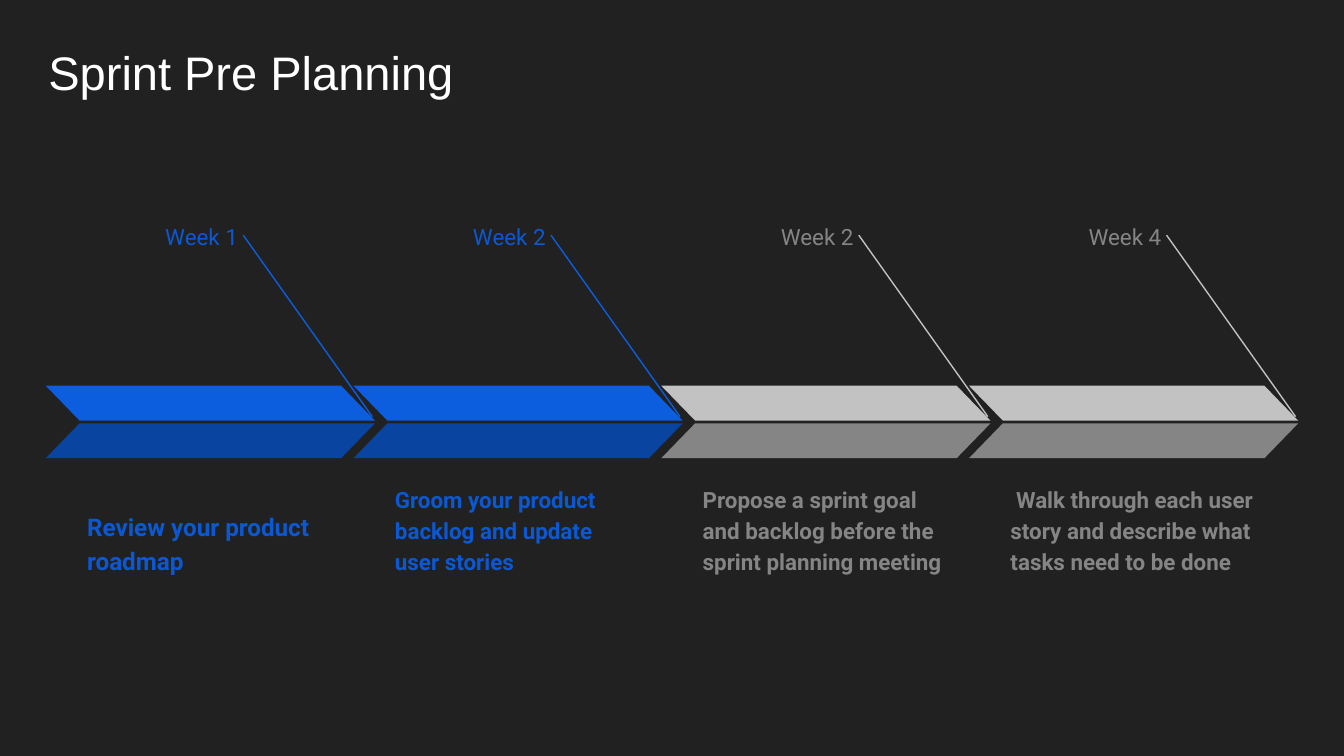
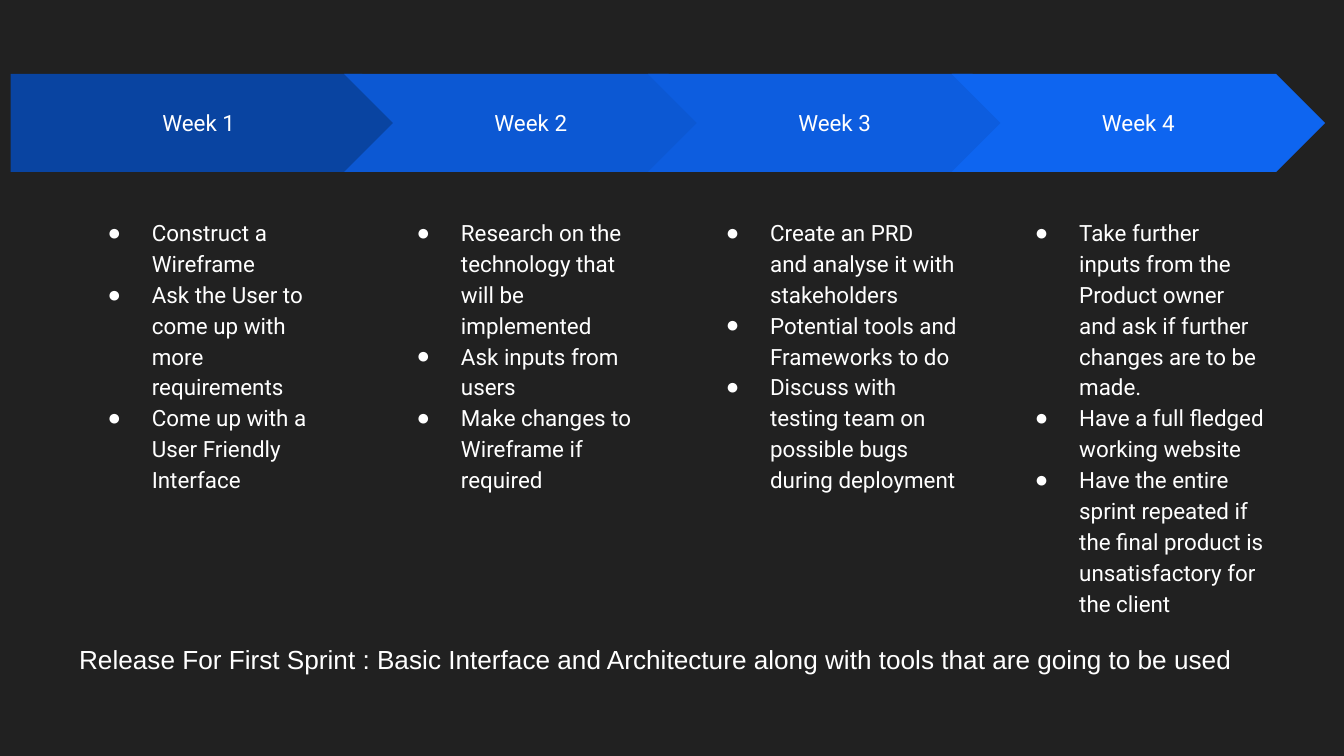
"""Build two dark slides showing a sprint's planning steps and weekly tasks."""
from lxml.etree import SubElement
from pptx import Presentation
from pptx.dml.color import RGBColor
from pptx.enum.shapes import MSO_CONNECTOR, MSO_SHAPE
from pptx.enum.text import MSO_ANCHOR, MSO_AUTO_SIZE, PP_ALIGN
from pptx.oxml.ns import qn
from pptx.util import Inches, Pt

BACKGROUND, WHITE = "212121", "FFFFFF"
NAVY, COBALT, BLUE, BRIGHT = "0944A1", "0C58D3", "0D5DDF", "0E65F0"
SILVER, GREY = "C2C2C2", "858585"
ACTIVE = (COBALT, BLUE, NAVY)
UPCOMING = (GREY, SILVER, GREY)

STEPS = [
    ("Week 1", "Review your product roadmap", 13, ACTIVE),
    ("Week 2", "Groom your product backlog and update user stories", 12, ACTIVE),
    ("Week 2", "Propose a sprint goal and backlog before the sprint planning meeting",
     12, UPCOMING),
    ("Week 4", " Walk through each user story and describe what tasks need to be done",
     12, UPCOMING),
]

WEEKS = [
    ("Week 1", NAVY, ["Construct a Wireframe",
                      "Ask the User to come up with more requirements",
                      "Come up with a User Friendly Interface"]),
    ("Week 2", COBALT, ["Research on the technology that will be implemented",
                        "Ask inputs from users",
                        "Make changes to Wireframe if required"]),
    ("Week 3", BLUE, ["Create an PRD",
                      "and analyse it with stakeholders",
                      "Potential tools and Frameworks to do",
                      "Discuss with testing team on possible bugs during deployment"]),
    ("Week 4", BRIGHT, ["Take further inputs from the Product owner and ask if further "
                        "changes are to be made.",
                        "Have a full fledged working website",
                        "Have the entire sprint repeated if the final product is "
                        "unsatisfactory for the client"]),
]


def rgb(code):
    """Turn a hex string into a colour."""
    return RGBColor.from_string(code)


def place(part, left, top, width, height):
    """Move and size a part, in inches."""
    part.left, part.top = Inches(left), Inches(top)
    part.width, part.height = Inches(width), Inches(height)


def write(part, text, size, color, font="Roboto", bold=False,
          align=PP_ALIGN.LEFT, anchor=MSO_ANCHOR.TOP, spacing=None, after=0):
    """Fill a part with text, one paragraph per line, and format it."""
    frame = part.text_frame
    frame.text = text
    frame.word_wrap = True
    frame.auto_size = MSO_AUTO_SIZE.NONE
    frame.vertical_anchor = anchor
    frame.margin_left = frame.margin_right = Inches(0.1)
    frame.margin_top = frame.margin_bottom = Inches(0.1)
    for paragraph in frame.paragraphs:
        paragraph.alignment = align
        paragraph.line_spacing = spacing
        paragraph.space_before, paragraph.space_after = Pt(0), Pt(after)
        for run in paragraph.runs:
            run.font.name, run.font.size = font, Pt(size)
            run.font.bold = bold
            run.font.color.rgb = rgb(color)


def add_label(shapes, box, text, size, color, **style):
    """Add a text box."""
    label = shapes.add_textbox(*map(Inches, box))
    write(label, text, size, color, **style)


def add_band(shapes, kind, box, color, adjustment):
    """Add a filled shape without outline or shadow."""
    band = shapes.add_shape(kind, *map(Inches, box))
    band.adjustments[0] = adjustment
    band.fill.solid()
    band.fill.fore_color.rgb = rgb(color)
    band.line.fill.background()
    band.shadow.inherit = False
    return band


def add_leader(shapes, start, end, color):
    """Add a thin straight line between two points."""
    leader = shapes.add_connector(MSO_CONNECTOR.STRAIGHT, *map(Inches, start + end))
    leader.line.color.rgb = rgb(color)
    leader.line.width = Pt(0.75)
    SubElement(leader.element.spPr, qn("a:effectLst"))


def add_step(slide, left, week, task, size, colors):
    """Add one timeline step: label, task, leader and two-tone arrow."""
    text_color, upper_color, lower_color = colors
    shapes = slide.shapes.add_group_shape().shapes
    add_label(shapes, (left + 0.7, 1.53, 0.83, 0.44), week, 12, text_color,
              align=PP_ALIGN.RIGHT, spacing=1.15, after=16)
    add_label(shapes, (left + 0.21, 3.57, 2.01, 0.81), task, size, text_color,
              bold=True, anchor=MSO_ANCHOR.BOTTOM, spacing=1.15)
    add_leader(shapes, (left + 1.47, 1.75), (left + 2.43, 3.1), upper_color)
    upper = add_band(shapes, MSO_SHAPE.PARALLELOGRAM, (left, 2.87, 2.45, 0.26),
                     upper_color, 0.97)
    upper.element.spPr.xfrm.set("flipH", "1")
    add_band(shapes, MSO_SHAPE.PARALLELOGRAM, (left, 3.15, 2.45, 0.26),
             lower_color, 0.97)


def add_week(slide, kind, box, week, color):
    """Add one arrow of the week band."""
    arrow = add_band(slide.shapes, kind, box, color, 0.5)
    write(arrow, week, 12, WHITE, align=PP_ALIGN.CENTER, anchor=MSO_ANCHOR.MIDDLE)


def fill_tasks(body, left, tasks):
    """Fill a body placeholder with bullets; lower-case lines continue the one above."""
    place(body, left, 1.5, 2.09, 2.86)
    write(body, "\n".join(tasks), 12, WHITE, spacing=1.15)
    for paragraph, task in zip(body.text_frame.paragraphs, tasks):
        bulleted = task[0].isupper()
        properties = paragraph._p.get_or_add_pPr()
        properties.set("marL", str(Inches(0.5)))
        properties.set("indent", str(Inches(-0.33) if bulleted else 0))
        if bulleted:
            bullet_color = SubElement(properties, qn("a:buClr"))
            SubElement(bullet_color, qn("a:srgbClr"), val=WHITE)
            SubElement(properties, qn("a:buFont"), typeface="Arial")
            SubElement(properties, qn("a:buChar"), char="●")
        else:
            SubElement(properties, qn("a:buNone"))


def build_planning(deck):
    """Build the pre-planning timeline."""
    slide = deck.slides.add_slide(deck.slide_layouts.get_by_name("Title Only"))
    title = slide.shapes.title
    place(title, 0.26, 0.22, 9.32, 0.63)
    write(title, "Sprint Pre Planning", 25.2, WHITE, font="Arial")
    for index, step in enumerate(STEPS):
        add_step(slide, 0.34 + 2.29 * index, *step)


def build_weeks(deck):
    """Build the week-by-week task lists."""
    slide = deck.slides.add_slide(deck.slide_layouts.get_by_name("Comparison"))
    title, *bodies = slide.placeholders
    title.element.getparent().remove(title.element)
    for index, (body, (week, color, tasks)) in enumerate(zip(bodies, WEEKS)):
        if index == 0:
            add_week(slide, MSO_SHAPE.PENTAGON, (0.08, 0.55, 2.98, 0.73), week, color)
        else:
            box = (0.3 + 2.26 * index, 0.55, 2.78, 0.73)
            add_week(slide, MSO_SHAPE.CHEVRON, box, week, color)
        fill_tasks(body, 0.53 + 2.3 * index, tasks)
    add_label(slide.shapes, (0.49, 4.69, 9.11, 0.44),
              "Release For First Sprint : Basic Interface and Architecture "
              "along with tools that are going to be used", 14, WHITE, font="Arial")


def main():
    """Build and save the deck."""
    deck = Presentation()
    deck.slide_width = Inches(10)
    deck.slide_height = deck.slide_width * 9 // 16
    backdrop = deck.slide_master.background.fill
    backdrop.solid()
    backdrop.fore_color.rgb = rgb(BACKGROUND)
    build_planning(deck)
    build_weeks(deck)
    deck.save("out.pptx")


if __name__ == "__main__":
    main()
